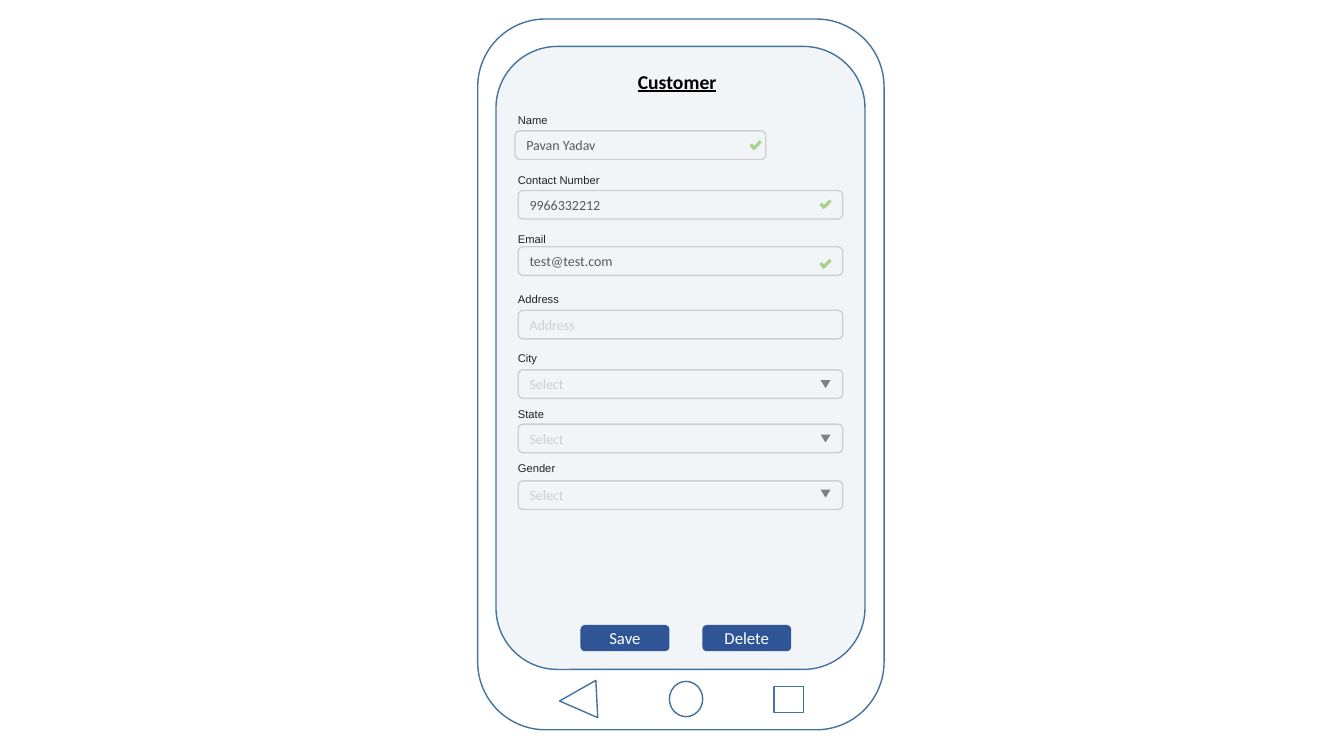
"""Build a slide with a phone mock-up of a customer form."""
from lxml.etree import SubElement
from pptx import Presentation
from pptx.dml.color import RGBColor
from pptx.enum.shapes import MSO_CONNECTOR, MSO_SHAPE as Shape
from pptx.enum.text import MSO_ANCHOR as Anchor, MSO_AUTO_SIZE as AutoSize, PP_ALIGN as Align
from pptx.oxml.ns import qn
from pptx.util import Cm, Pt

COLORS = {
    "outline": "43739E", "screen": "F2F5F7", "border": "D0CECE", "check": "A9D18E",
    "entry": "595959", "hint": "D0CECE", "label": "222222", "title": "000000",
    "button": "2F5597", "button_text": "FFFFFF", "arrow": "808080",
}
FORMATS = {
    "title": {"name": "Calibri", "size": Pt(14), "bold": True, "underline": True},
    "label": {"name": "Arial", "size": Pt(8)},
    "entry": {"name": "Calibri", "size": Pt(10)},
    "hint": {"name": "Calibri", "size": Pt(10)},
    "button_text": {"name": "Calibri", "size": Pt(12)},
}
TITLE = "Customer"
PHONE_PARTS = [
    (Shape.OVAL, (16.87, 17.17, 0.84, 0.89), None, 0),
    (Shape.RECTANGLE, (19.51, 17.3, 0.74, 0.66), None, 0),
    (Shape.FLOWCHART_MERGE, (14.1, 17.17, 0.94, 0.94), None, 87),
    (Shape.ROUNDED_RECTANGLE, (12.04, 0.48, 10.24, 17.91), None, 0),
    (Shape.ROUNDED_RECTANGLE, (12.5, 1.17, 9.3, 15.7), "screen", 0),
]
WIDE, NARROW = (13.06, 8.18, 0.56), (12.98, 6.32, 0.38)
FIELDS = [
    ("Name", 1.27, 2.74, "Pavan Yadav", "entry", 3.3, NARROW, "check", 0.26),
    ("Contact Number", 2.59, 4.24, "9966332212", "entry", 4.8, WIDE, "check", 0.25),
    ("Email", 1.22, 5.74, "test@test.com", "entry", 6.22, WIDE, "check", 0.33),
    ("Address", 1.57, 7.24, "Address", "hint", 7.82, WIDE, None, 0),
    ("City", 0.99, 8.74, "Select", "hint", 9.32, WIDE, "arrow", 0.26),
    ("State", 1.19, 10.13, "Select", "hint", 10.69, WIDE, "arrow", 0.26),
    ("Gender", 1.47, 11.51, "Select", "hint", 12.12, WIDE, "arrow", 0.22),
]
LABEL_LEFT, LABEL_HEIGHT, FIELD_HEIGHT = 12.8, 0.6, 0.72
CHECK_STROKES = [(0, 0.08, 0.1, 0.2), (0.08, 0.18, 0.25, 0)]
BUTTONS = ["Save", "Delete"]
BUTTON_LEFT, BUTTON_TOP, BUTTON_STEP = 14.63, 15.75, 3.07


def color(role):
    return RGBColor.from_string(COLORS[role])


def add_part(shapes, preset, place, fill=None, line=None, rotation=0):
    part = shapes.add_shape(preset, *map(Cm, place))
    part.shadow.inherit = False
    part.rotation = rotation
    if fill:
        part.fill.solid()
        part.fill.fore_color.rgb = color(fill)
    else:
        part.fill.background()
    if line:
        part.line.color.rgb = color(line)
        part.line.width = Pt(1)
    else:
        part.line.fill.background()
    return part


def write(part, wording, role, anchor=Anchor.MIDDLE, align=Align.LEFT, wrap=True):
    frame = part.text_frame
    frame.text = wording
    frame.word_wrap = wrap
    frame.vertical_anchor = anchor
    paragraph = frame.paragraphs[0]
    paragraph.alignment = align
    font = paragraph.runs[0].font
    for attribute, value in FORMATS[role].items():
        setattr(font, attribute, value)
    font.color.rgb = color(role)


def add_check(shapes, left, top):
    check = shapes.add_group_shape().shapes
    for x1, y1, x2, y2 in CHECK_STROKES:
        ends = map(Cm, (left + x1, top + y1, left + x2, top + y2))
        stroke = check.add_connector(MSO_CONNECTOR.STRAIGHT, *ends)
        stroke.line.color.rgb = color("check")
        stroke.line.width = Pt(2.25)
        SubElement(stroke.element.spPr, qn("a:effectLst"))


def add_field(shapes, label, label_width, label_top, entry, role, top, column, mark, drop):
    caption = shapes.add_textbox(*map(Cm, (LABEL_LEFT, label_top, label_width, LABEL_HEIGHT)))
    write(caption, label, "label", Anchor.TOP, wrap=False)
    caption.text_frame.auto_size = AutoSize.SHAPE_TO_FIT_TEXT
    left, width, mark_inset = column
    field = add_part(shapes, Shape.ROUNDED_RECTANGLE, (left, top, width, FIELD_HEIGHT), line="border")
    write(field, entry, role)
    mark_left = left + width - mark_inset
    if mark == "check":
        add_check(shapes, mark_left, top + drop)
    elif mark == "arrow":
        add_part(shapes, Shape.ISOSCELES_TRIANGLE, (mark_left, top + drop, 0.25, 0.2), "arrow", rotation=180)


def main():
    deck = Presentation()
    deck.slide_width, deck.slide_height = Cm(33.87), Cm(19.05)
    slide = deck.slides.add_slide(deck.slide_layouts[5])
    shapes = slide.shapes
    title = shapes.title

    phone = shapes.add_group_shape().shapes
    for preset, place, fill, rotation in PHONE_PARTS:
        add_part(phone, preset, place, fill, "outline", rotation)

    title.element.getparent().append(title.element)
    title.left, title.top, title.width, title.height = map(Cm, (15.82, 1.63, 3.1, 0.86))
    write(title, TITLE, "title", Anchor.TOP)
    title.text_frame.auto_size = AutoSize.NONE

    for field in FIELDS:
        add_field(shapes, *field)

    for index, caption in enumerate(BUTTONS):
        place = (BUTTON_LEFT + index * BUTTON_STEP, BUTTON_TOP, 2.24, 0.66)
        button = add_part(shapes, Shape.ROUNDED_RECTANGLE, place, "button")
        write(button, caption, "button_text", align=Align.CENTER)

    deck.save("out.pptx")


if __name__ == "__main__":
    main()
